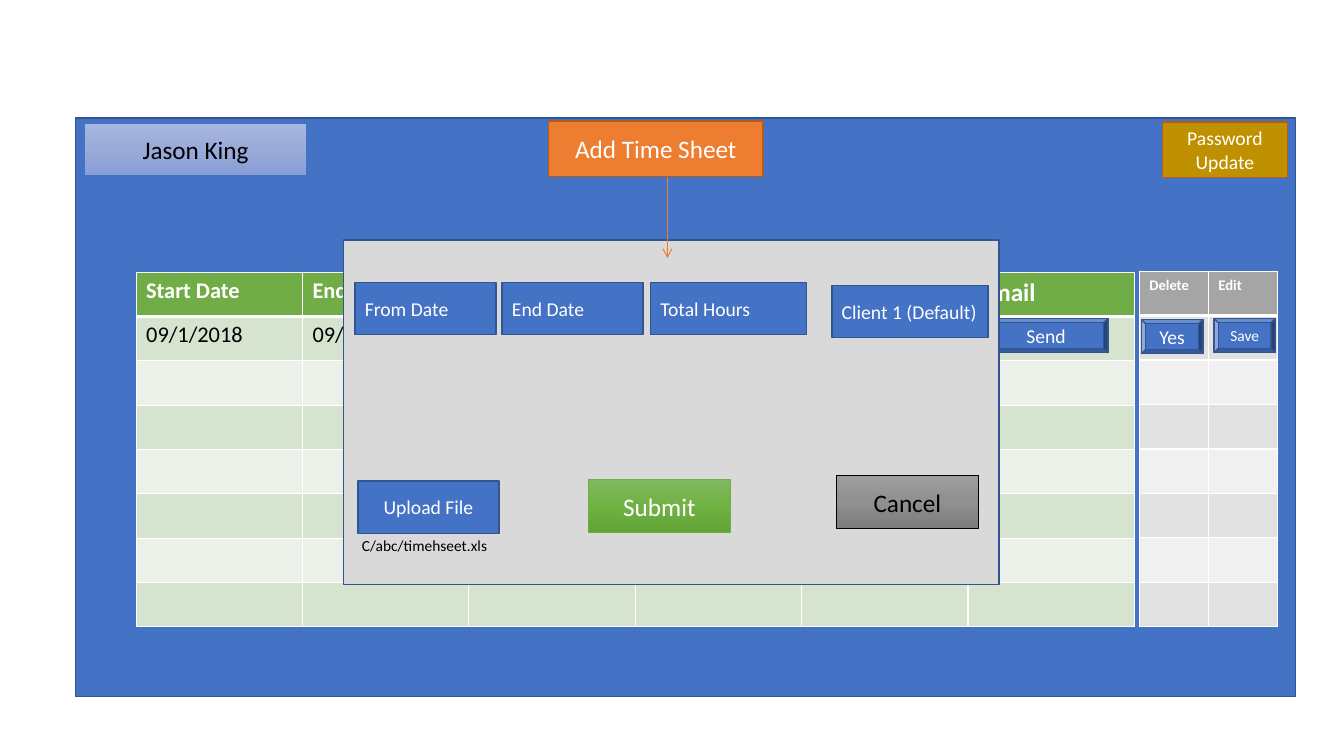
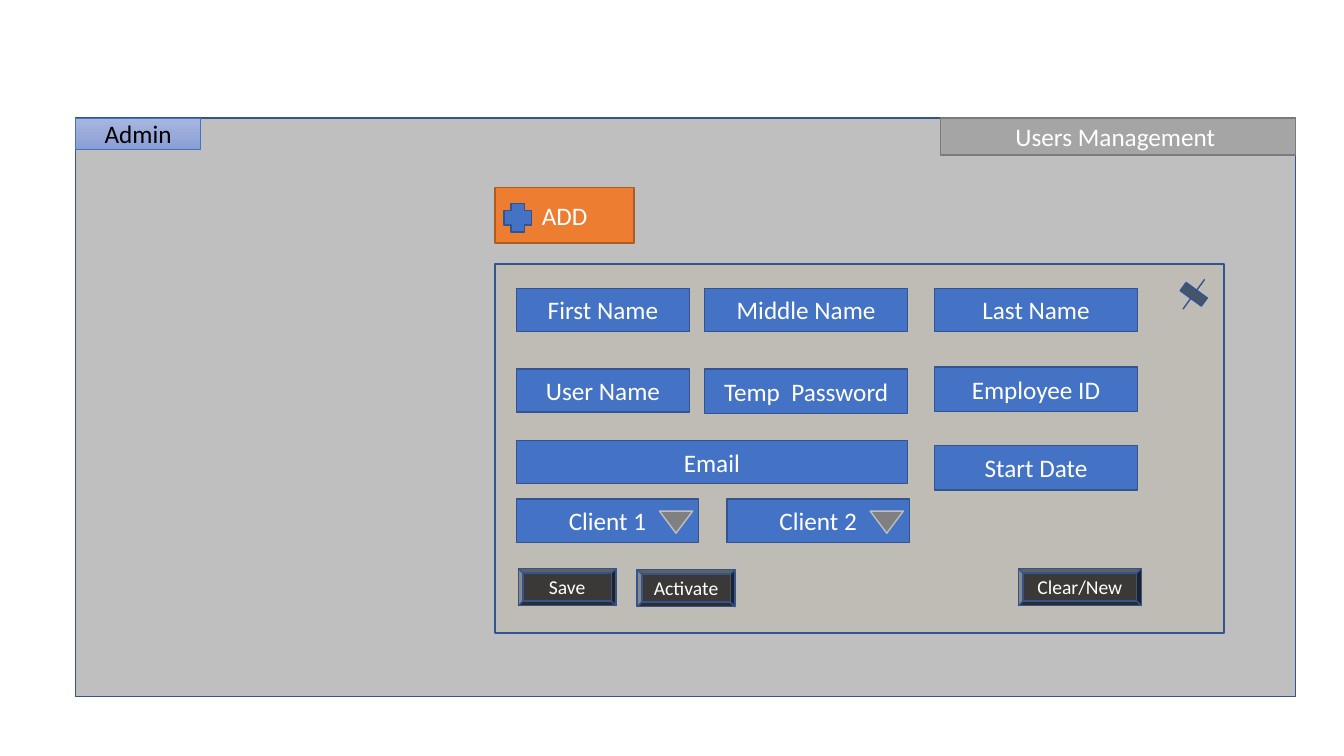
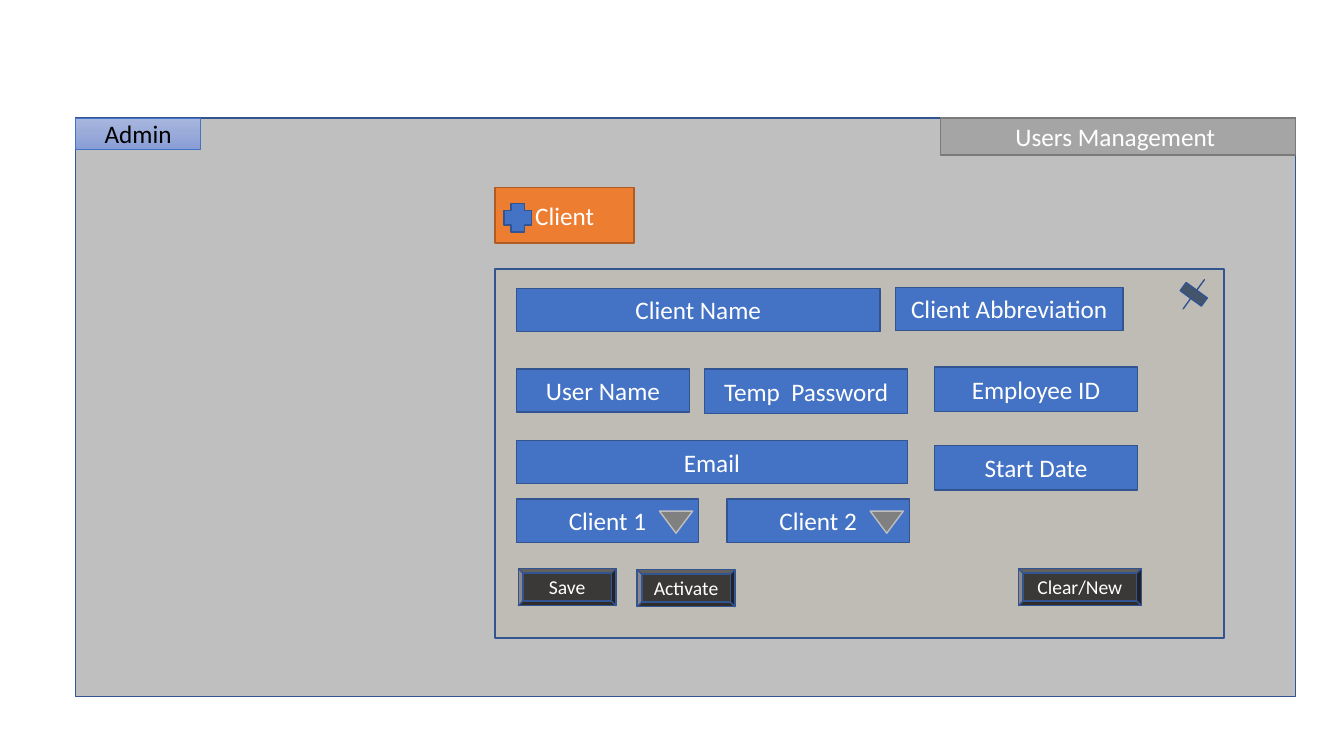
from copy import deepcopy
from pptx import Presentation
from pptx import util as u
from pptx.dml import color
from pptx.enum import shapes, text
from pptx.oxml import parse_xml
from pptx.oxml import ns

Inches, Pt = u.Inches, u.Pt
Preset = shapes.MSO_SHAPE
LEFT, CENTER = text.PP_ALIGN.LEFT, text.PP_ALIGN.CENTER

FONT = "Calibri"
WHITE, BLACK, BLUE, NAVY = "FFFFFF", "000000", "4472C4", "325491"
ORANGE, RUST, GOLD = "ED7D31", "AF5C24", "BF9000"
SKY_FADE = ("A8B7DF", "9AABD9", "889ED7")
GRAY_FADE = ("9D9D9D", "909090", "7C7C7C")
GREEN_FADE = ("81B861", "6FB242", "62A336")

STYLES = {
    "screen": (Preset.RECTANGLE, BLUE, NAVY, 1, WHITE),
    "admin screen": (Preset.RECTANGLE, "BFBFBF", NAVY, 1, WHITE),
    "dialog": (Preset.RECTANGLE, "D9D9D9", NAVY, 1, WHITE),
    "panel": (Preset.RECTANGLE, GOLD, NAVY, 1, WHITE),
    "field": (Preset.RECTANGLE, BLUE, NAVY, 1, WHITE),
    "add": (Preset.RECTANGLE, ORANGE, RUST, 1, WHITE),
    "password": (Preset.RECTANGLE, GOLD, RUST, 1, WHITE),
    "user": (Preset.RECTANGLE, SKY_FADE, BLUE, 0.5, BLACK),
    "cancel": (Preset.RECTANGLE, GRAY_FADE, BLACK, 0.5, BLACK),
    "submit": (Preset.RECTANGLE, GREEN_FADE, "70AD47", 0.5, WHITE),
    "heading": (Preset.RECTANGLE, "A5A5A5", "7A7A7A", 1, WHITE),
    "row button": (Preset.BEVEL, BLUE, NAVY, 1, WHITE),
    "form button": (Preset.BEVEL, "3B3838", NAVY, 1, WHITE),
    "plus": (Preset.CROSS, BLUE, NAVY, 1, WHITE),
    "pin": (Preset.CROSS, "44546A", NAVY, 1, WHITE),
    "arrow": (Preset.ISOSCELES_TRIANGLE, "808080", "BFBFBF", 1, WHITE),
}
SCREEN = (0.75, 1.17, 12.1, 5.74)

TIMESHEET_HEADER = ["Start Date", "End Date", "", "", "", "Email"]
TIMESHEET_ROW = ["09/1/2018", "09/15/2018", "", "", "", ""]
ACTION_HEADER = ["Delete", "Edit"]
BODY_ROWS = 7

TIMESHEET_CONTROLS = [
    ("user", "Jason King", (0.84, 1.22, 2.2, 0.52), 18),
    ("row button", "Send", (9.76, 3.16, 1.23, 0.34), 14),
    ("row button", "Yes", (11.32, 3.17, 0.61, 0.34), 14),
    ("row button", "Save", (12.04, 3.16, 0.61, 0.34), 11),
    ("password", "Password Update", (11.53, 1.21, 1.24, 0.55), 14),
]
DIALOG_FIELDS = [
    ("From Date", (3.52, 2.8, 1.4, 0.52)),
    ("End Date", (4.98, 2.8, 1.4, 0.52)),
    ("Total Hours", (6.45, 2.8, 1.55, 0.52)),
    ("Client 1 (Default)", (8.25, 2.83, 1.55, 0.52)),
]
DIALOG_BUTTONS = [
    ("field", "Upload File", (3.55, 4.77, 1.4, 0.52), 14),
    ("cancel", "Cancel", (8.3, 4.72, 1.4, 0.52), 18),
    ("submit", "Submit", (5.84, 4.76, 1.4, 0.52), 18),
]
UPLOADED_FILE = ("C/abc/timehseet.xls", (3.49, 5.27, 1.52, 0.29))

ADMIN_FIELDS = [
    ("User Name", (5.12, 3.66, 1.72, 0.43)),
    ("Temp  Password", (6.99, 3.66, 2.01, 0.44)),
    ("Employee ID", (9.27, 3.64, 2.01, 0.44)),
    ("Email", (5.12, 4.37, 3.88, 0.43)),
    ("Start Date", (9.27, 4.42, 2.01, 0.44)),
]
CLIENT_PICKERS = [("Client 1", 5.12), ("Client 2", 7.21)]
FORM_BUTTONS = [
    ("Save", (5.14, 5.64, 0.97, 0.37)),
    ("Activate", (6.32, 5.65, 0.97, 0.37)),
    ("Clear/New", (10.1, 5.64, 1.22, 0.37)),
]
ADMIN_SLIDES = [
    ("ADD", 2.62, [
        ("First Name", (5.12, 2.86, 1.72, 0.43)),
        ("Middle Name", (6.99, 2.86, 2.01, 0.43)),
        ("Last Name", (9.27, 2.86, 2.01, 0.43)),
    ]),
    ("Client", 2.67, [
        ("Client Name", (5.12, 2.86, 3.61, 0.43)),
        ("Client Abbreviation", (8.88, 2.85, 2.26, 0.43)),
    ]),
]


def rgb(value):
    return color.RGBColor.from_string(value)


def inches(box):
    return [Inches(length) for length in box]


def set_font(paragraph, size, font_color, bold=False):
    font = paragraph.font
    font.name, font.size, font.bold = FONT, Pt(size), bold
    font.color.rgb = rgb(font_color)


def fill_gradient(fill, colors):
    fill.gradient()
    fill.gradient_angle = 270
    first = fill.gradient_stops[0]._gs
    first.addnext(deepcopy(first))
    for stop, value, position in zip(fill.gradient_stops, colors, (0, 0.5, 1)):
        stop.color.rgb = rgb(value)
        stop.position = position


def add_box(parent, style, label, box, size=18, align=CENTER):
    preset, fill, line_color, line_width, font_color = STYLES[style]
    shape = parent.shapes.add_shape(preset, *inches(box))
    shape.shadow.inherit = False
    if isinstance(fill, tuple):
        fill_gradient(shape.fill, fill)
    else:
        shape.fill.solid()
        shape.fill.fore_color.rgb = rgb(fill)
    shape.line.color.rgb = rgb(line_color)
    shape.line.width = Pt(line_width)
    if label:
        paragraph = shape.text_frame.paragraphs[0]
        paragraph.text = label
        paragraph.alignment = align
        set_font(paragraph, size, font_color)
    return shape


def set_borders(cell, bottom):
    properties = cell._tc.get_or_add_tcPr()
    for index, (side, width) in enumerate((("L", 1), ("R", 1), ("T", 1), ("B", bottom))):
        properties.insert(index, parse_xml(
            f'<a:ln{side} {ns.nsdecls("a")} w="{Pt(width)}"><a:solidFill>'
            f'<a:srgbClr val="{WHITE}"/></a:solidFill></a:ln{side}>'))


def add_grid(slide, box, header, first_row, header_fill, bands, sizes):
    rows = [header, first_row] + [[""] * len(header)] * (BODY_ROWS - 1)
    table = slide.shapes.add_table(len(rows), len(header), *inches(box)).table
    for r, row in enumerate(rows):
        for c, value in enumerate(row):
            cell = table.cell(r, c)
            set_borders(cell, 1 if r else 3)
            cell.fill.solid()
            cell.fill.fore_color.rgb = rgb(bands[(r - 1) % 2] if r else header_fill)
            paragraph = cell.text_frame.paragraphs[0]
            paragraph.text = value
            set_font(paragraph, sizes[c], BLACK if r else WHITE, bold=r == 0)


def add_arrow(slide, start, end):
    connector = slide.shapes.add_connector(shapes.MSO_CONNECTOR.STRAIGHT, *inches(start + end))
    connector.line.color.rgb = rgb(ORANGE)
    connector.line.width = Pt(0.75)
    connector.line._get_or_add_ln().append(parse_xml(f'<a:tailEnd {ns.nsdecls("a")} type="arrow"/>'))
    connector._element.spPr.append(parse_xml(f'<a:effectLst {ns.nsdecls("a")}/>'))


def add_timesheet_slide(slide):
    add_box(slide, "screen", "", SCREEN)
    add_box(slide, "add", "Add Time Sheet", (5.44, 1.2, 2.13, 0.55))
    add_grid(slide, (1.35, 2.7, 9.9, 3.52), TIMESHEET_HEADER, TIMESHEET_ROW,
             "70AD47", ("D5E3CF", "EBF1E9"), [16] * 5 + [18])
    add_grid(slide, (11.3, 2.69, 1.37, 3.53), ACTION_HEADER, ["", ""],
             "A5A5A5", ("E1E1E1", "F0F0F0"), [10.5] * 2)
    for control in TIMESHEET_CONTROLS:
        add_box(slide, *control)

    dialog = slide.shapes.add_group_shape()
    add_box(dialog, "dialog", "", (3.41, 2.38, 6.5, 3.42))
    for label, box in DIALOG_FIELDS:
        add_box(dialog, "field", label, box, 14, LEFT)
    for button in DIALOG_BUTTONS:
        add_box(dialog, *button)
    label, box = UPLOADED_FILE
    frame = dialog.shapes.add_textbox(*inches(box)).text_frame
    frame.word_wrap = True
    frame.text = label
    set_font(frame.paragraphs[0], 11, BLACK)
    add_arrow(slide, (6.62, 1.76), (6.62, 2.56))


def add_admin_slide(slide, action, panel_top, name_fields):
    add_box(slide, "admin screen", "", SCREEN)
    add_box(slide, "heading", "Users Management ", (9.33, 1.17, 3.52, 0.37))
    add_box(slide, "user", "Admin", (0.75, 1.17, 1.24, 0.31))
    add_box(slide, "add", action, (4.91, 1.86, 1.38, 0.55))
    add_box(slide, "plus", "", (5, 2.02, 0.27, 0.28))

    form = slide.shapes.add_group_shape()
    panel = add_box(form, "panel", "", (4.91, panel_top, 7.23, 3.66))
    panel_color = panel.fill._xPr.find(ns.qn("a:solidFill"))[0]
    panel_color.append(parse_xml(f'<a:alpha {ns.nsdecls("a")} val="5000"/>'))
    for label, box in name_fields + ADMIN_FIELDS:
        add_box(form, "field", label, box)
    for label, left in CLIENT_PICKERS:
        add_box(form, "field", label, (left, 4.95, 1.81, 0.43))
        add_box(form, "arrow", "", (left + 1.42, 5.07, 0.33, 0.22)).rotation = 180
    for label, box in FORM_BUTTONS:
        add_box(form, "form button", label, box, 14)
    pin = add_box(form, "pin", "", (11.71, 2.74, 0.26, 0.36))
    pin.adjustments[0] = 0.5
    pin.rotation = 36.1


presentation = Presentation()
presentation.slide_width, presentation.slide_height = Inches(13.33), Inches(7.5)
blank = presentation.slide_layouts[6]
add_timesheet_slide(presentation.slides.add_slide(blank))
for admin_slide in ADMIN_SLIDES:
    add_admin_slide(presentation.slides.add_slide(blank), *admin_slide)
presentation.save("out.pptx")
